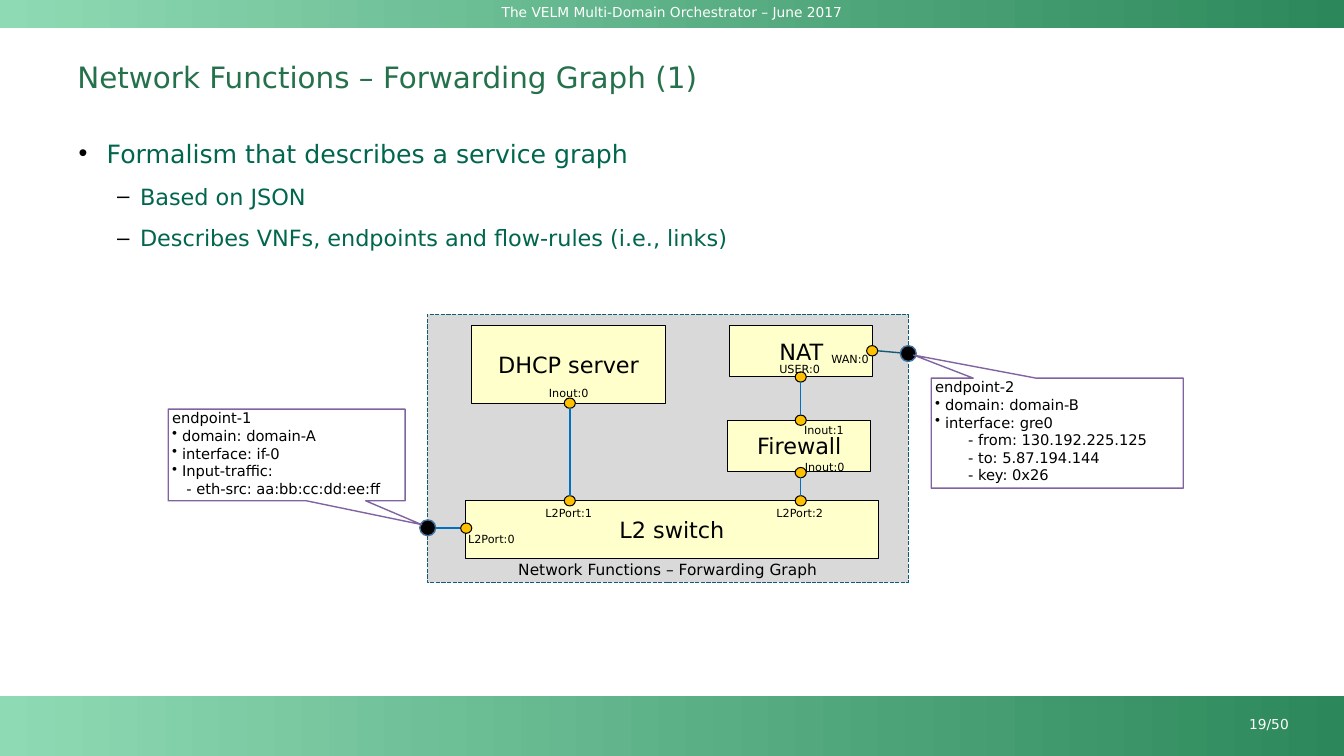
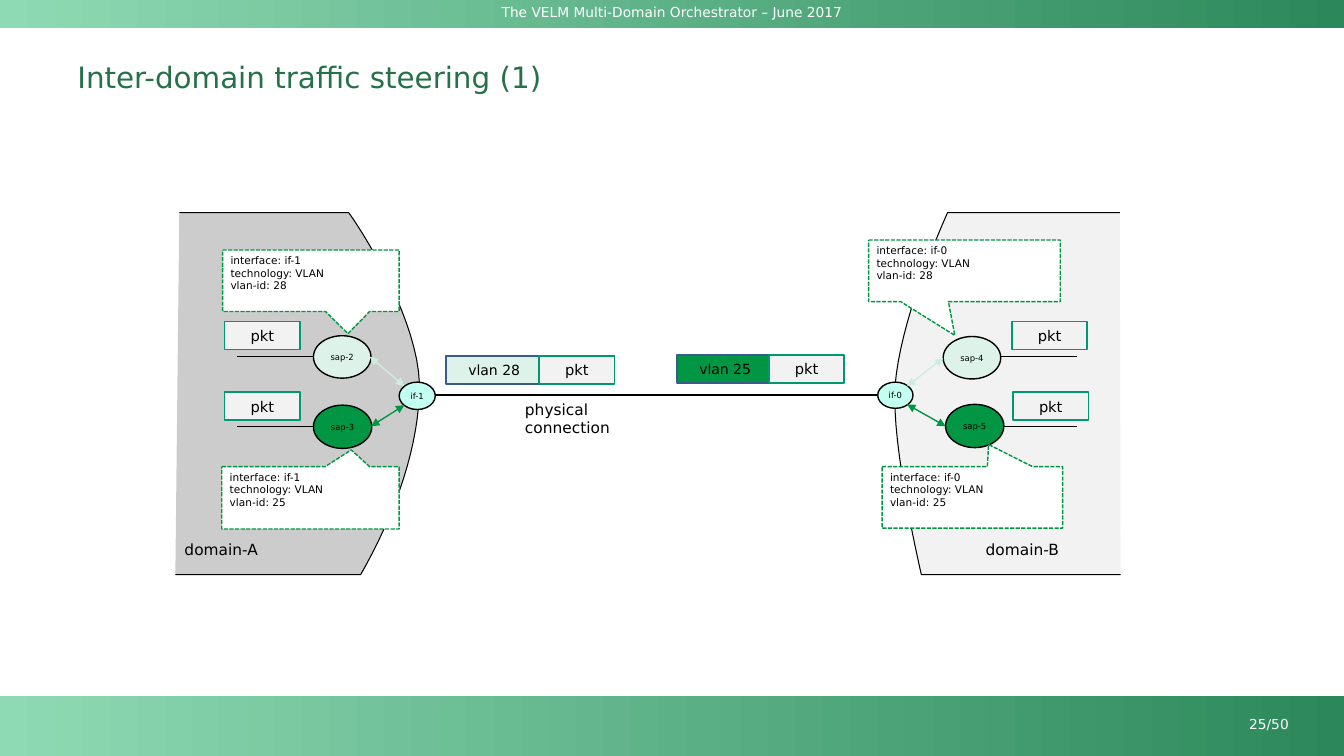
from lxml import etree
from pptx import Presentation
from pptx import util as u
from pptx.dml.color import RGBColor
from pptx.enum import dml, shapes, text
from pptx.oxml.ns import qn

FONT = "DejaVu Sans"
COLORS = {
    "black": "000000", "white": "FFFFFF", "title": "25714B", "body": "00664D",
    "band_light": "8EDAB4", "band_dark": "2C885A",
    "frame": "D9D9D9", "frame_line": "0F5C77", "function": "FFFFCC", "port": "FFC000",
    "endpoint_line": "43739E", "link": "0070C0", "note_line": "8064A2",
    "domain_a": "CCCCCC", "domain_b": "F2F2F2", "packet": "F2F2F2", "packet_line": "009771",
    "vlan_line": "385D8A", "interface": "C2FFF0",
    "pale": "DDF3EA", "pale_arrow": "CCEEDF", "green": "009644",
}
RECT = shapes.MSO_SHAPE.RECTANGLE
OVAL = shapes.MSO_SHAPE.OVAL
CALLOUT = shapes.MSO_SHAPE.RECTANGULAR_CALLOUT
LEFT, CENTER, RIGHT = text.PP_ALIGN.LEFT, text.PP_ALIGN.CENTER, text.PP_ALIGN.RIGHT
TOP, MIDDLE, BOTTOM = text.MSO_ANCHOR.TOP, text.MSO_ANCHOR.MIDDLE, text.MSO_ANCHOR.BOTTOM
DEFAULT_MARGINS = (0.25, 0.13, 0.25, 0.13)


def write(frame, lines, size, color="black", align=LEFT, anchor=TOP, margins=DEFAULT_MARGINS):
    """Fill a text frame; a line is a string or (string, bullet, left indent, hanging indent)."""
    frame.word_wrap = True
    frame.auto_size = text.MSO_AUTO_SIZE.NONE
    frame.vertical_anchor = anchor
    (frame.margin_left, frame.margin_top,
     frame.margin_right, frame.margin_bottom) = [u.Cm(margin) for margin in margins]
    frame.text = "\n".join(line if isinstance(line, str) else line[0] for line in lines)
    for paragraph, line in zip(frame.paragraphs, lines):
        paragraph.alignment = align
        for run in paragraph.runs:
            run.font.name, run.font.size = FONT, u.Pt(size)
            run.font.color.rgb = RGBColor.from_string(COLORS[color])
        if not isinstance(line, str):
            bullet, indent, hanging = line[1:]
            properties = paragraph._p.get_or_add_pPr()
            properties.set("marL", str(u.Cm(indent)))
            properties.set("indent", str(-u.Cm(hanging)))
            if bullet:
                bullet_color = etree.SubElement(properties, qn("a:buClr"))
                etree.SubElement(bullet_color, qn("a:srgbClr"), val=COLORS["black"])
                etree.SubElement(properties, qn("a:buChar"), char=bullet)


def add_box(slide, kind, at, fill=None, line=None, width=1, dashed=False, lines=(), **style):
    """Add a preset shape, or a text box when kind is None, at (left, top, width, height) in cm."""
    place = [u.Cm(length) for length in at]
    if kind is None:
        shape = slide.shapes.add_textbox(*place)
    else:
        shape = slide.shapes.add_shape(kind, *place)
        shape.shadow.inherit = False
    if fill:
        shape.fill.solid()
        shape.fill.fore_color.rgb = RGBColor.from_string(COLORS[fill])
    if line:
        shape.line.color.rgb = RGBColor.from_string(COLORS[line])
        shape.line.width = u.Pt(width)
        if dashed:
            shape.line.dash_style = dml.MSO_LINE.SQUARE_DOT
    else:
        shape.line.fill.background()
    if lines:
        write(shape.text_frame, lines, **style)
    return shape


presentation = Presentation()
presentation.slide_width, presentation.slide_height = u.Cm(33.87), u.Cm(19.05)
graph_slide = presentation.slides.add_slide(presentation.slide_layouts[1])
steering_slide = presentation.slides.add_slide(presentation.slide_layouts[5])

# Bands shared through the slide master
top_band = add_box(graph_slide, RECT, (0, 0, 33.87, 0.71), size=9.8, color="white", align=CENTER,
                   lines=["The VELM Multi-Domain Orchestrator – June 2017"],
                   margins=(0.18, 0.1, 0.18, 0))
bottom_band = add_box(graph_slide, RECT, (0, 17.53, 33.87, 1.52))
for number, band in enumerate((top_band, bottom_band)):
    band.fill.gradient()
    band.fill.gradient_angle = 0
    for stop, color in zip(band.fill.gradient_stops, ("band_light", "band_dark")):
        stop.color.rgb = RGBColor.from_string(COLORS[color])
    band.element.nvSpPr.cNvPr.set("id", str(100 + number))
    presentation.slide_master.shapes.element.insert(2 + number, band.element)

# Titles and page numbers
for slide, title, page in (
    (graph_slide, "Network Functions – Forwarding Graph (1)", "19/50"),
    (steering_slide, "Inter-domain traffic steering (1)", "25/50"),
):
    shape = slide.shapes.title
    shape.left, shape.top, shape.width, shape.height = map(u.Cm, (1.7, 0.76, 30.48, 2.36))
    write(shape.text_frame, [title], 21, "title", anchor=MIDDLE)
    add_box(slide, None, (27.33, 17.93, 5.33, 0.74), lines=[page], size=9.8, color="white",
            align=RIGHT, margins=(0.18, 0.1, 0.18, 0.1))

# Forwarding graph: bullets
body = graph_slide.placeholders[1]
body.left, body.top, body.width, body.height = map(u.Cm, (1.73, 3.33, 30.48, 3.81))
write(body.text_frame, [
    ("Formalism that describes a service graph", "•", 0.71, 0.71),
    ("Based on JSON", "–", 1.55, 0.58),
    ("Describes VNFs, endpoints and flow-rules (i.e., links)", "–", 1.55, 0.58),
], 18, "body")
for paragraph, level in zip(body.text_frame.paragraphs, (0, 1, 1)):
    paragraph.level = level
    paragraph.line_spacing = 1.02
    paragraph.space_before = u.Pt((11.2, 10.1)[level])
    paragraph.runs[0].font.size = u.Pt((18, 16)[level])

# Forwarding graph: frame, network functions, ports and endpoints
TIGHT = (0.1, 0.1, 0.1, 0.1)
add_box(graph_slide, RECT, (10.77, 7.92, 12.12, 6.76), "frame", "frame_line", dashed=True,
        lines=["Network Functions – Forwarding Graph"], size=11, align=CENTER, anchor=BOTTOM,
        margins=TIGHT)
for name, at in (
    ("NAT", (18.39, 8.2, 3.61, 1.3)),
    ("L2 switch", (11.73, 12.62, 10.41, 1.45)),
    ("DHCP server", (11.89, 8.2, 4.88, 1.96)),
    ("Firewall", (18.34, 10.59, 3.61, 1.3)),
):
    add_box(graph_slide, RECT, at, "function", "black", 0.75, lines=[name], size=16,
            align=CENTER, anchor=MIDDLE, margins=TIGHT)

for label, x, y, label_left, label_top in (
    ("L2Port:0", 11.75, 13.31, 11.18, 13.28),
    ("L2Port:1", 14.36, 12.62, 13.13, 12.62),
    ("L2Port:2", 20.18, 12.62, 18.95, 12.62),
    ("Inout:0", 14.36, 10.16, 13.13, 9.6),
    ("WAN:0", 21.98, 8.84, 20.22, 8.76),
    ("USER:0", 20.18, 9.5, 18.95, 8.99),
    ("Inout:0", 20.18, 11.91, 19.58, 11.48),
    ("Inout:1", 20.18, 10.59, 19.56, 10.54),
):
    add_box(graph_slide, OVAL, (x - 0.14, y - 0.13, 0.28, 0.26), "port", "black", 0.75)
    add_box(graph_slide, None, (label_left, label_top, 2.41, 0.61), lines=[label], size=8,
            align=CENTER)

for x, y in ((10.78, 13.3), (22.89, 8.91)):
    add_box(graph_slide, OVAL, (x - 0.2, y - 0.2, 0.4, 0.4), "black", "endpoint_line")

for at, tip, lines in (
    ((4.24, 10.31, 5.97, 2.31), (0.57, 0.76), [
        "endpoint-1",
        ("domain: domain-A", "•", 0.25, 0.25),
        ("interface: if-0", "•", 0.25, 0.25),
        ("Input-traffic:", "•", 0.25, 0.25),
        ("- eth-src: aa:bb:cc:dd:ee:ff", None, 0.36, 0),
    ]),
    ((23.47, 9.53, 6.35, 2.77), (-0.57, -0.71), [
        "endpoint-2",
        ("domain: domain-B", "•", 0.25, 0.25),
        ("interface: gre0", "•", 0.25, 0.25),
        ("- from: 130.192.225.125", None, 0.83, 0),
        ("- to: 5.87.194.144", None, 0.83, 0),
        ("- key: 0x26", None, 0.83, 0),
    ]),
):
    note = add_box(graph_slide, CALLOUT, at, "white", "note_line", lines=lines, size=10.5,
                   margins=(0.1, 0, 0, 0.13))
    note.adjustments[0], note.adjustments[1] = tip

# Traffic steering: domain outlines, each with two Bezier curves on its inner side
CURVE_STEPS = 16
for fill, start, curves, end in (
    ("domain_b", (28.22, 5.36),
     [[(23.88, 5.36), (23.57, 6.05), (22.68, 8.18), (22.56, 9.7)],
      [(22.56, 9.7), (22.45, 11.23), (23.22, 14.48), (23.22, 14.48)]], (28.24, 14.48)),
    ("domain_a", (4.52, 5.36),
     [[(8.79, 5.36), (9.3, 6.07), (10.52, 8.13), (10.57, 9.65)],
      [(10.57, 9.65), (10.59, 11.18), (9.98, 12.93), (9.09, 14.48)]], (4.42, 14.48)),
):
    points = []
    for curve in curves:
        for step in range(CURVE_STEPS + 1):
            t = step / CURVE_STEPS
            weights = ((1 - t) ** 3, 3 * t * (1 - t) ** 2, 3 * t ** 2 * (1 - t), t ** 3)
            points.append([sum(w * point[axis] for w, point in zip(weights, curve))
                           for axis in (0, 1)])
    builder = steering_slide.shapes.build_freeform(u.Cm(start[0]), u.Cm(start[1]))
    builder.add_line_segments([(u.Cm(x), u.Cm(y)) for x, y in points + [end]], close=False)
    domain = builder.convert_to_shape()
    domain.shadow.inherit = False
    domain.fill.solid()
    domain.fill.fore_color.rgb = RGBColor.from_string(COLORS[fill])
    domain.line.color.rgb = RGBColor.from_string(COLORS["black"])
    domain.line.width = u.Pt(0.75)

# Traffic steering: access points, interfaces, notes, packets and labels
NO_MARGINS = (0, 0, 0, 0)
for name, at, fill in (
    ("sap-2", (7.9, 8.46, 1.45, 1.07), "pale"),
    ("sap-3", (7.9, 10.21, 1.47, 1.09), "green"),
    ("sap-4", (23.77, 8.48, 1.45, 1.07), "pale"),
    ("sap-5", (23.83, 10.19, 1.47, 1.09), "green"),
    ("if-1", (10.06, 9.63, 0.91, 0.69), "interface"),
    ("if-0", (22.12, 9.63, 0.89, 0.66), "interface"),
):
    add_box(steering_slide, OVAL, at, fill, "black", lines=[name], size=6, align=CENTER,
            anchor=MIDDLE, margins=NO_MARGINS)

for interface, vlan, at, tip in (
    ("if-1", 28, (5.61, 6.3, 4.45, 1.55), (0.21, 0.86)),
    ("if-0", 28, (21.89, 6.05, 4.83, 1.55), (-0.05, 1.05)),
    ("if-1", 25, (5.59, 11.76, 4.47, 1.57), (0.23, -0.77)),
    ("if-0", 25, (22.23, 11.76, 4.55, 1.55), (0.09, -0.86)),
):
    note = add_box(steering_slide, CALLOUT, at, "white", "green", dashed=True, size=7.5,
                   lines=[f"interface: {interface}", "technology: VLAN", f"vlan-id: {vlan}"],
                   margins=(0.2, 0.1, 0.1, 0.13))
    note.adjustments[0], note.adjustments[1] = tip

for name, left, top, fill in (("vlan 28", 11.25, 8.97, "pale"), ("vlan 25", 17.07, 8.94, "green")):
    add_box(steering_slide, RECT, (left, top, 2.41, 0.71), fill, "vlan_line", 1.25, lines=[name],
            size=10, align=CENTER, anchor=MIDDLE, margins=(0, 0.13, 0, 0.13))
for left, top in ((5.66, 8.1), (5.66, 9.88), (25.5, 8.1), (25.53, 9.88),
                  (13.59, 8.97), (19.38, 8.94)):
    add_box(steering_slide, RECT, (left, top, 1.9, 0.71), "packet", "packet_line", 1.25,
            lines=["pkt"], size=10.5, align=CENTER, anchor=MIDDLE)
for label, left, top, height in (("physical connection", 13.23, 10.08, 0.96),
                                 ("domain-A", 4.65, 13.61, 0.48),
                                 ("domain-B", 24.84, 13.61, 0.48)):
    add_box(steering_slide, None, (left, top, 2.8, height), lines=[label], size=11,
            margins=NO_MARGINS)

# Links of both slides
for slide, start, end, color, width, arrows in (
    (graph_slide, (14.36, 12.5), (14.36, 10.29), "link", 1, False),
    (graph_slide, (20.18, 12.5), (20.18, 12.01), "link", 1, False),
    (graph_slide, (20.18, 10.46), (20.18, 9.6), "link", 1, False),
    (graph_slide, (10.97, 13.3), (11.6, 13.3), "link", 1, False),
    (graph_slide, (22.12, 8.84), (22.68, 8.89), "frame_line", 1, False),
    (steering_slide, (10.97, 9.96), (22.12, 9.96), "black", 1.5, False),
    (steering_slide, (5.97, 8.99), (7.9, 8.99), "black", 1, False),
    (steering_slide, (5.97, 10.74), (7.9, 10.74), "black", 1, False),
    (steering_slide, (25.2, 8.99), (27.13, 8.99), "black", 1, False),
    (steering_slide, (25.27, 10.74), (27.13, 10.74), "black", 1, False),
    (steering_slide, (9.32, 8.99), (10.19, 9.73), "pale_arrow", 1, True),
    (steering_slide, (9.35, 10.74), (10.19, 10.21), "green", 1, True),
    (steering_slide, (22.86, 9.73), (23.77, 9.02), "pale_arrow", 1, True),
    (steering_slide, (22.86, 10.19), (23.83, 10.74), "green", 1, True),
):
    link = slide.shapes.add_connector(shapes.MSO_CONNECTOR.STRAIGHT,
                                      *[u.Cm(length) for length in start + end])
    link.line.color.rgb = RGBColor.from_string(COLORS[color])
    link.line.width = u.Pt(width)
    if arrows:
        for tag in ("a:headEnd", "a:tailEnd"):
            etree.SubElement(link.line._get_or_add_ln(), qn(tag), type="triangle")
    etree.SubElement(link.element.spPr, qn("a:effectLst"))

presentation.save("out.pptx")
